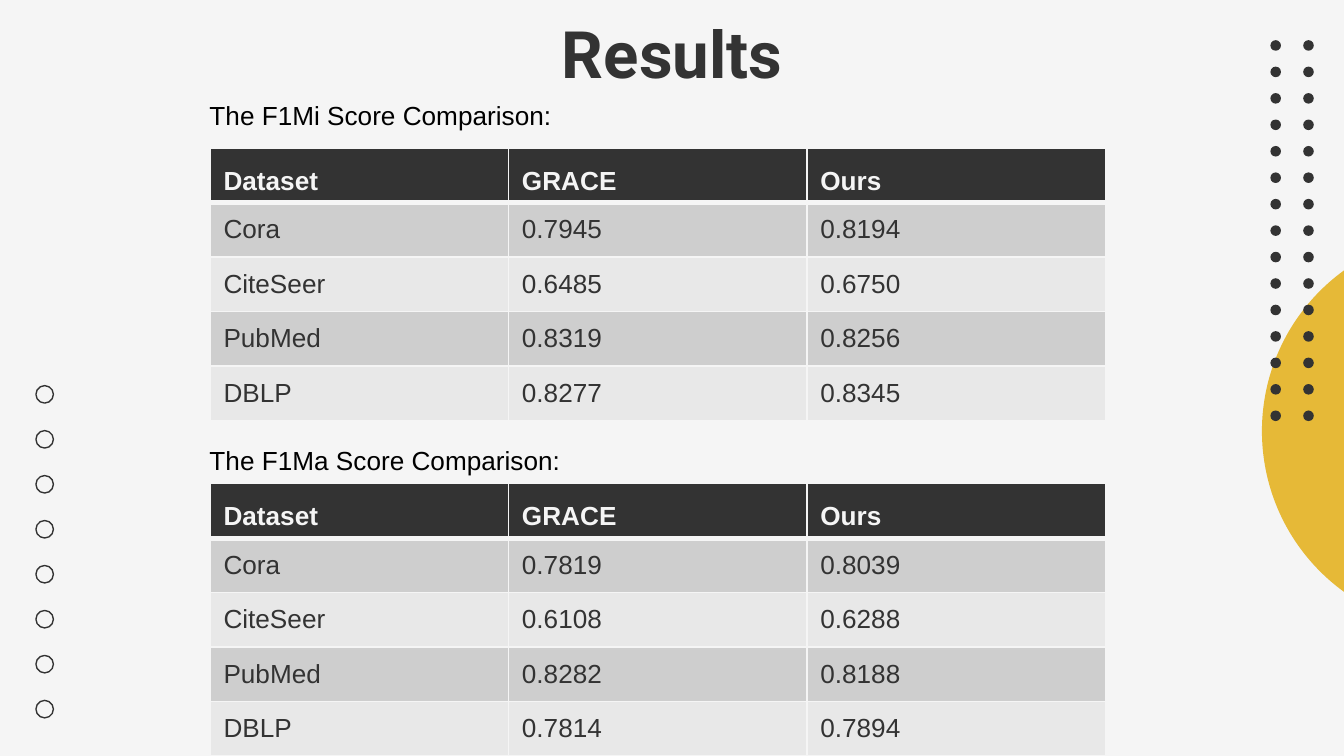
from dataclasses import dataclass
from typing import Optional

import lxml.etree
import pptx
import pptx.dml.color
import pptx.enum.shapes
import pptx.enum.text
import pptx.oxml.ns
import pptx.slide
import pptx.table
import pptx.text.text
import pptx.util
from pptx.util import Cm

COLORS = {
    "background": "F5F5F5",
    "dark": "333333",
    "accent": "E6B937",
    "band_dark": "CECECE",
    "band_light": "E8E8E8",
    "caption": "000000",
}
HEADERS = ("Dataset", "GRACE", "Ours")
TABLE_LEFT, COLUMN_WIDTH, ROW_HEIGHT = 3.97, 5.64, 1.03


@dataclass(frozen=True)
class DotGrid:
    left: float
    top: float
    column_step: float
    row_step: float
    columns: int
    rows: int
    diameter: float
    fill: Optional[str] = None
    line: Optional[str] = None


@dataclass(frozen=True)
class ScoreTable:
    caption: str
    caption_top: float
    caption_width: float
    table_top: float
    scores: tuple[tuple[str, str, str], ...]


DOT_GRIDS = (
    DotGrid(23.85, 4.4, 0, 0, 1, 1, 7.5, fill="accent"),
    DotGrid(0.68, 7.29, 0, 0.85, 1, 8, 0.33, line="dark"),
    DotGrid(24.01, 0.76, 0.62, 0.5, 2, 15, 0.2, fill="dark"),
)
SCORE_TABLES = (
    ScoreTable("The F1Mi Score Comparison:", 1.75, 7.01, 2.8, (
        ("Cora", "0.7945", "0.8194"),
        ("CiteSeer", "0.6485", "0.6750"),
        ("PubMed", "0.8319", "0.8256"),
        ("DBLP", "0.8277", "0.8345"),
    )),
    ScoreTable("The F1Ma Score Comparison:", 8.27, 7.42, 9.14, (
        ("Cora", "0.7819", "0.8039"),
        ("CiteSeer", "0.6108", "0.6288"),
        ("PubMed", "0.8282", "0.8188"),
        ("DBLP", "0.7814", "0.7894"),
    )),
)


def color(name: str) -> pptx.dml.color.RGBColor:
    return pptx.dml.color.RGBColor.from_string(COLORS[name])


def add_run(paragraph: pptx.text.text._Paragraph, text: str, color_name: str,
            size: float = 14, font: str = "Arial", bold: bool = False) -> None:
    run = paragraph.add_run()
    run.text = text
    run.font.size = pptx.util.Pt(size)
    run.font.name = font
    run.font.bold = bold
    run.font.color.rgb = color(color_name)


def draw_dots(slide: pptx.slide.Slide, grid: DotGrid) -> None:
    for row in range(grid.rows):
        for column in range(grid.columns):
            shape = slide.shapes.add_shape(
                pptx.enum.shapes.MSO_SHAPE.OVAL,
                Cm(grid.left + column * grid.column_step),
                Cm(grid.top + row * grid.row_step),
                Cm(grid.diameter), Cm(grid.diameter))
            shape.shadow.inherit = False
            if grid.fill:
                shape.fill.solid()
                shape.fill.fore_color.rgb = color(grid.fill)
            else:
                shape.fill.background()
            if grid.line:
                shape.line.color.rgb = color(grid.line)
                shape.line.width = pptx.util.Pt(0.75)
            else:
                shape.line.fill.background()


def set_borders(cell: pptx.table._Cell, top: float, bottom: float) -> None:
    """Draw all four borders; top and bottom are widths in points."""
    qn = pptx.oxml.ns.qn
    properties = cell._tc.get_or_add_tcPr()
    for side, width in (("L", 1), ("R", 1), ("T", top), ("B", bottom)):
        line = lxml.etree.SubElement(properties, qn(f"a:ln{side}"), w=str(pptx.util.Pt(width)))
        fill = lxml.etree.SubElement(line, qn("a:solidFill"))
        lxml.etree.SubElement(fill, qn("a:srgbClr"), val=COLORS["background"])


def draw_score_table(slide: pptx.slide.Slide, item: ScoreTable) -> None:
    rows = (HEADERS, *item.scores)
    table = slide.shapes.add_table(
        len(rows), len(HEADERS), Cm(TABLE_LEFT), Cm(item.table_top),
        Cm(COLUMN_WIDTH * len(HEADERS)), Cm(ROW_HEIGHT * len(rows))).table
    table.horz_banding = False
    for column in table.columns:
        column.width = Cm(COLUMN_WIDTH)
    anchors = pptx.enum.text.MSO_ANCHOR
    for row_index, values in enumerate(rows):
        table.rows[row_index].height = Cm(ROW_HEIGHT)
        header = row_index == 0
        band = "dark" if header else "band_dark" if row_index % 2 else "band_light"
        for column_index, value in enumerate(values):
            cell = table.cell(row_index, column_index)
            set_borders(cell, top=3 if row_index == 1 else 1, bottom=3 if header else 1)
            cell.fill.solid()
            cell.fill.fore_color.rgb = color(band)
            cell.vertical_anchor = anchors.BOTTOM if header else anchors.MIDDLE
            add_run(cell.text_frame.paragraphs[0], value,
                    "background" if header else "dark", bold=header)


def draw_caption(slide: pptx.slide.Slide, item: ScoreTable) -> None:
    shape = slide.shapes.add_textbox(
        Cm(3.71), Cm(item.caption_top), Cm(item.caption_width), Cm(0.86))
    shape.text_frame.auto_size = pptx.enum.text.MSO_AUTO_SIZE.SHAPE_TO_FIT_TEXT
    shape.text_frame.word_wrap = False
    add_run(shape.text_frame.paragraphs[0], item.caption, "caption")


def draw_title(slide: pptx.slide.Slide, text: str) -> None:
    title = slide.shapes.title
    title.left, title.top, title.width, title.height = Cm(2), Cm(0), Cm(21.41), Cm(1.6)
    frame = title.text_frame
    frame.margin_left = frame.margin_right = frame.margin_top = frame.margin_bottom = Cm(0.25)
    frame.auto_size = pptx.enum.text.MSO_AUTO_SIZE.NONE
    frame.vertical_anchor = pptx.enum.text.MSO_ANCHOR.TOP
    paragraph = frame.paragraphs[0]
    paragraph.alignment = pptx.enum.text.PP_ALIGN.CENTER
    add_run(paragraph, text, "dark", size=35, font="Roboto", bold=True)


def main() -> None:
    presentation = pptx.Presentation()
    presentation.slide_width, presentation.slide_height = Cm(25.4), Cm(14.29)
    slide = presentation.slides.add_slide(presentation.slide_layouts.get_by_name("Title Only"))
    slide.background.fill.solid()
    slide.background.fill.fore_color.rgb = color("background")
    for grid in DOT_GRIDS:
        draw_dots(slide, grid)
    draw_title(slide, "Results")
    for item in SCORE_TABLES:
        draw_score_table(slide, item)
        draw_caption(slide, item)
    presentation.save("out.pptx")


if __name__ == "__main__":
    main()
